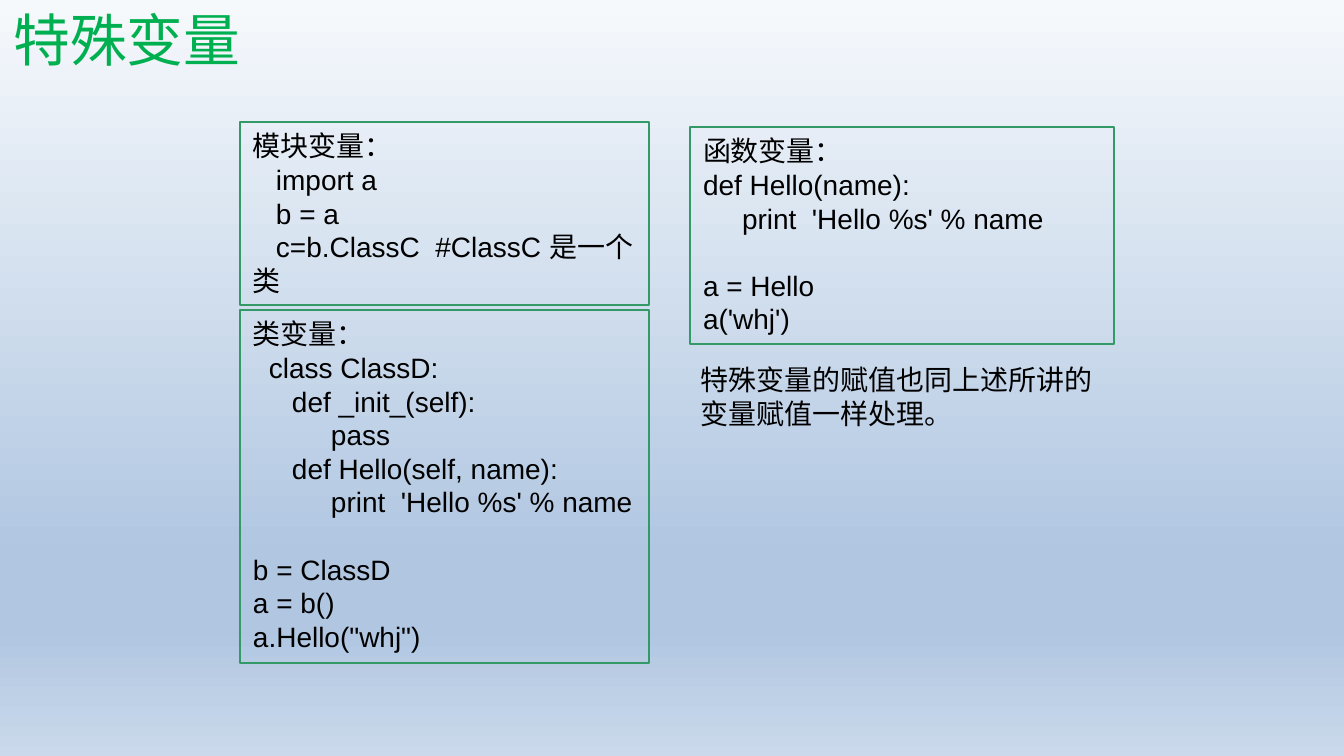
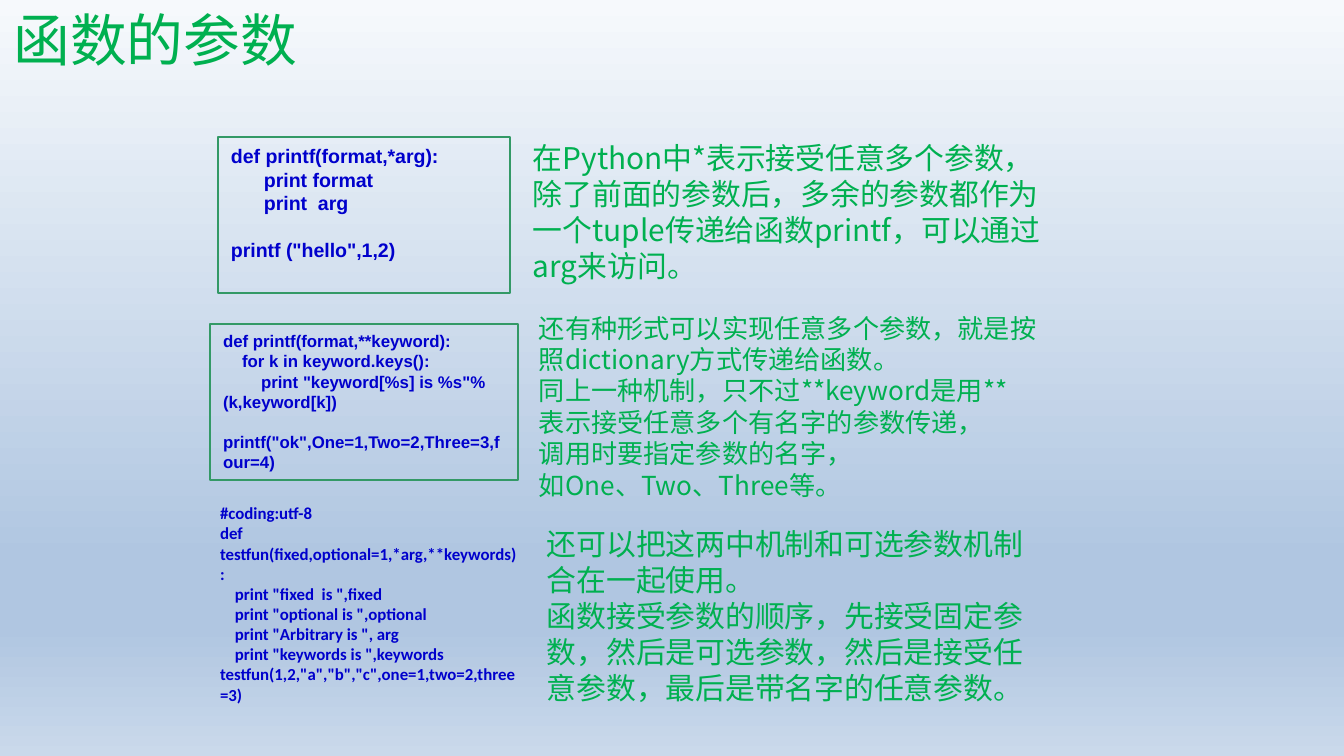
import pptx
import pptx.util
import pptx.dml.color
import pptx.enum.dml
import pptx.enum.shapes
import pptx.enum.text
import pptx.oxml
import pptx.oxml.ns
import copy
import collections

WIDE, HIGH = 1344, 756
SCALE = 914400 / 134.4
GREEN, EDGE, BLACK, BLUE = "00B050", "339966", "000000", "0000CC"
HAN = "Noto Sans CJK SC"
STOPS = [(0, "F6F9FC"), (0.74, "B0C6E1"), (0.83, "B0C6E1"), (1, "CAD9EB")]
LEAD = 1.2  # line height per point of text size
WALL = (13, 7)  # usual inner margins
SLIM = (5, 3)

Style = collections.namedtuple("Style", "font size color bold")
PLAIN = Style("Arial", 15, BLACK, False)
CODE = Style("Arial", 10.5, BLUE, True)
SMALL = Style("Arial", 9, BLUE, True)
TEST = Style("Calibri", 9, BLUE, True)
NOTE = Style(HAN, 16, GREEN, False)
BRIEF = Style(HAN, 14, GREEN, False)
HEAD = Style(HAN, 30.4, GREEN, False)


def px(num):
    return pptx.util.Emu(round(num * SCALE))


def rgb(code):
    return pptx.dml.color.RGBColor.from_string(code)


def add_run(para, text, style):
    run = para.add_run()
    run.text = text
    font = run.font
    font.name, font.bold = style.font, style.bold
    font.size = pptx.util.Pt(style.size)
    font.color.rgb = rgb(style.color)
    # East Asian typeface
    east = pptx.oxml.parse_xml(
        f'<a:ea {pptx.oxml.ns.nsdecls("a")} typeface="{HAN}"/>')
    run._r.rPr.find(pptx.oxml.ns.qn("a:latin")).addnext(east)


def add_line(para, style, text, indent=0, gap=0):
    """Indent the first line by px; leave a gap counted in lines above."""
    para.alignment = pptx.enum.text.PP_ALIGN.LEFT
    para.line_spacing = pptx.util.Pt(style.size * LEAD)
    para.space_before = pptx.util.Pt(style.size * LEAD * gap)
    if indent:
        props = para._p.get_or_add_pPr()
        props.set("marL", "0")
        props.set("indent", str(px(indent)))
    add_run(para, text, style)


def fill_text(shape, style, lines, inset):
    frame = shape.text_frame
    frame.word_wrap = True
    frame.auto_size = pptx.enum.text.MSO_AUTO_SIZE.NONE
    frame.vertical_anchor = pptx.enum.text.MSO_ANCHOR.TOP
    frame.margin_left = frame.margin_right = px(inset[0])
    frame.margin_top = frame.margin_bottom = px(inset[1])
    for num, line in enumerate(lines):
        para = frame.add_paragraph() if num else frame.paragraphs[0]
        add_line(para, style, *line)


def add_panel(slide, box, style, lines):
    """Code inside a thin green frame."""
    kind = pptx.enum.shapes.MSO_SHAPE.RECTANGLE
    panel = slide.shapes.add_shape(kind, *map(px, box))
    panel.shadow.inherit = False
    panel.fill.background()
    panel.line.color.rgb = rgb(EDGE)
    panel.line.width = pptx.util.Pt(0.75)
    fill_text(panel, style, lines, WALL)


def add_note(slide, box, style, lines, inset=SLIM):
    """Text without a frame."""
    fill_text(slide.shapes.add_textbox(*map(px, box)), style, lines, inset)


def set_back(master):
    fill = master.background.fill
    fill.gradient()
    fill.gradient_angle = 270
    # Extend the stop list to the needed count
    stops = fill._fill._gradFill.gsLst
    while len(stops) < len(STOPS):
        stops.append(copy.deepcopy(stops[0]))
    for stop, (place, code) in zip(fill.gradient_stops, STOPS):
        stop.position = place
        stop.color.rgb = rgb(code)


def add_page(deck, text):
    slide = deck.slides.add_slide(deck.slide_layouts[5])
    title = slide.shapes.title
    title.left, title.top, title.width, title.height = map(px, (0, 8, 1008, 71))
    frame = title.text_frame
    frame.auto_size = pptx.enum.text.MSO_AUTO_SIZE.NONE
    frame.vertical_anchor = pptx.enum.text.MSO_ANCHOR.MIDDLE
    para = frame.paragraphs[0]
    para.alignment = pptx.enum.text.PP_ALIGN.LEFT
    para.line_spacing = 0.9
    add_run(para, text, HEAD)
    return slide


def vars_page(deck):
    slide = add_page(deck, "特殊变量")
    # Left column: module and class
    add_panel(slide, (240, 122, 409, 183), PLAIN, [
        ("模块变量：",),
        ("import a", 23),
        ("b = a", 23),
        ("c=b.ClassC  #ClassC 是一个类", 23),
    ])
    add_panel(slide, (240, 310, 409, 353), PLAIN, [
        ("类变量：",),
        ("class ClassD:", 16),
        ("def _init_(self):", 39),
        ("pass", 78),
        ("def Hello(self, name):", 39),
        ("print  'Hello %s' % name", 78),
        ("b = ClassD", 0, 1),
        ("a = b()",),
        ('a.Hello("whj")',),
    ])
    # Right column: function and remark
    add_panel(slide, (690, 127, 424, 217), PLAIN, [
        ("函数变量：",),
        ("def Hello(name):",),
        ("print  'Hello %s' % name", 39),
        ("a = Hello", 0, 1),
        ("a('whj')",),
    ])
    add_note(slide, (688, 356, 425, 81), PLAIN, [
        ("特殊变量的赋值也同上述所讲的变量赋值一样处理。",),
    ], WALL)


def args_page(deck):
    slide = add_page(deck, "函数的参数")
    # Tuple arguments
    add_note(slide, (528, 137, 532, 149), NOTE, [
        ("在Python中*表示接受任意多个参数，除了前面的参数后，多余的参数都作为"
         "一个tuple传递给函数printf，可以通过arg来访问。",),
    ])
    add_panel(slide, (218, 137, 292, 156), CODE, [
        ("def printf(format,*arg):",),
        ("print format", 33),
        ("print  arg", 33),
        ('printf ("hello",1,2)', 0, 1),
    ])
    # Keyword arguments
    add_panel(slide, (210, 324, 308, 156), SMALL, [
        ("def printf(format,**keyword):",),
        ("for k in keyword.keys():", 19),
        ('print "keyword[%s] is %s"%(k,keyword[k])', 38),
        ('printf("ok",One=1,Two=2,Three=3,four=4)', 0, 1),
    ])
    add_note(slide, (534, 309, 516, 195), BRIEF, [
        ("还有种形式可以实现任意多个参数，就是按照dictionary方式传递给函数。",),
        ("同上一种机制，只不过**keyword是用**",),
        ("表示接受任意多个有名字的参数传递，",),
        ("调用时要指定参数的名字，",),
        ("如One、Two、Three等。",),
    ])
    # All kinds together
    add_note(slide, (542, 523, 501, 185), NOTE, [
        ("还可以把这两中机制和可选参数机制合在一起使用。",),
        ("函数接受参数的顺序，先接受固定参数，然后是可选参数，"
         "然后是接受任意参数，最后是带名字的任意参数。",),
    ])
    add_note(slide, (207, 496, 324, 216), TEST, [
        ("#coding:utf-8",),
        ("def testfun(fixed,optional=1,*arg,**keywords):",),
        ('print "fixed  is ",fixed', 15),
        ('print "optional is ",optional', 15),
        ('print "Arbitrary is ", arg', 15),
        ('print "keywords is ",keywords', 15),
        ('testfun(1,2,"a","b","c",one=1,two=2,three=3)',),
    ], WALL)


def main():
    deck = pptx.Presentation()
    deck.slide_width, deck.slide_height = px(WIDE), px(HIGH)
    set_back(deck.slide_master)
    vars_page(deck)
    args_page(deck)
    deck.save("out.pptx")


if __name__ == "__main__":
    main()
